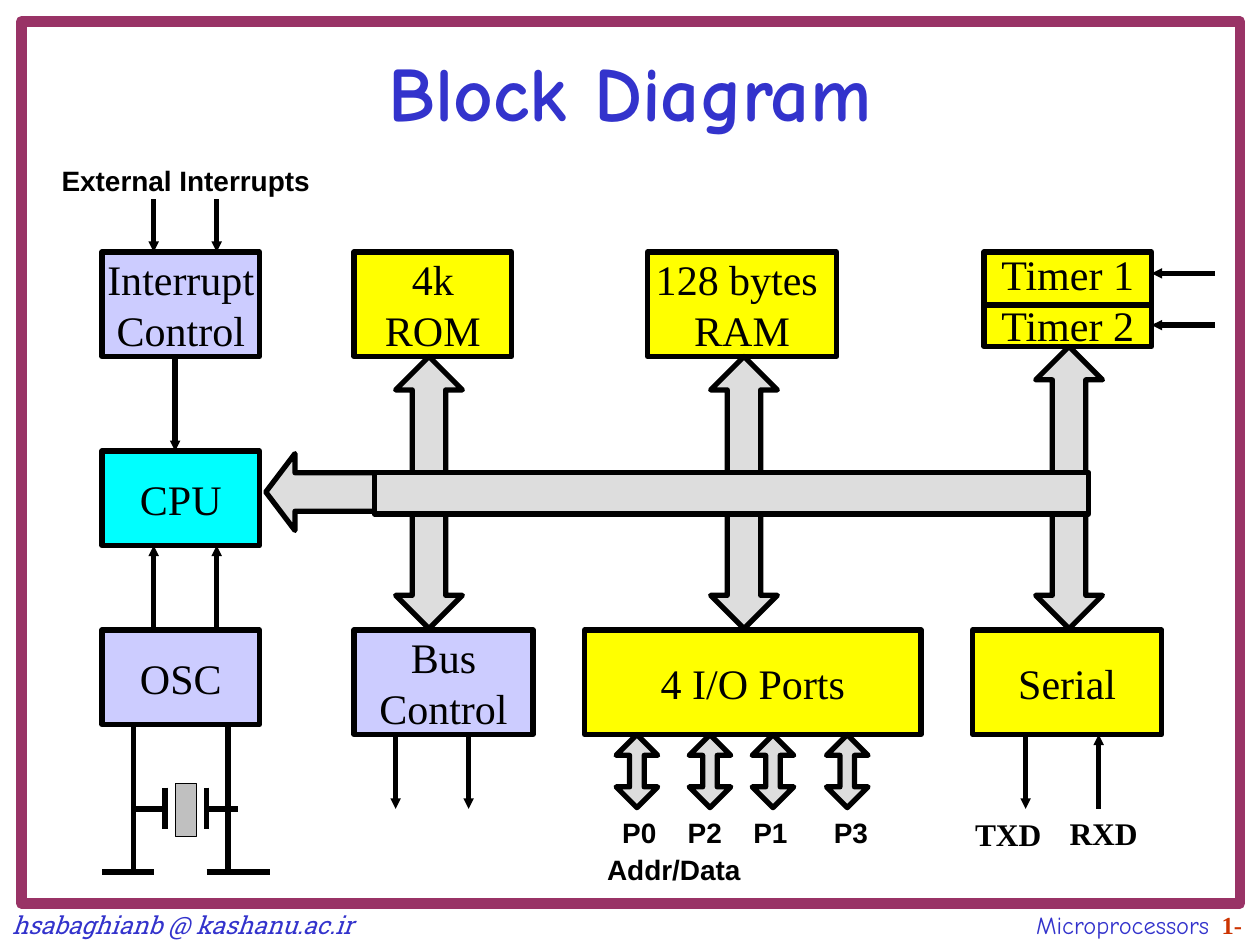
"""Build the microcontroller block diagram slide."""
from lxml.etree import SubElement
from pptx import Presentation
from pptx.dml.color import RGBColor
from pptx.enum.shapes import MSO_CONNECTOR, MSO_SHAPE as SHAPE
from pptx.enum.text import MSO_ANCHOR as ANCHOR, PP_ALIGN as ALIGN
from pptx.oxml.ns import qn
from pptx.util import Inches, Pt

BLACK = RGBColor(0x00, 0x00, 0x00)
BLUE = RGBColor(0x33, 0x33, 0xCC)
RED = RGBColor(0xCC, 0x33, 0x00)
PLUM = RGBColor(0x99, 0x33, 0x66)
CYAN = RGBColor(0x00, 0xFF, 0xFF)
LILAC = RGBColor(0xCC, 0xCC, 0xFF)
YELLOW = RGBColor(0xFF, 0xFF, 0x00)
SILVER = RGBColor(0xC0, 0xC0, 0xC0)
PALE = RGBColor(0xDD, 0xDD, 0xDD)
SERIF, SANS, COMIC, SLAB = "Times New Roman", "Arial", "Comic Neue", "Roboto Slab"


class Diagram:
    def __init__(self, s):
        self.s = s

    def style(self, font, name, size, color=BLACK, bold=False, italic=False):
        font.name, font.size, font.bold, font.italic = name, Pt(size), bold, italic
        font.color.rgb = color

    def title(self, text):
        sp = self.s.shapes.title
        sp.left, sp.top, sp.width, sp.height = map(Inches, (0.5, 0.3, 9, 1.25))
        tf = sp.text_frame
        tf.text, tf.vertical_anchor = text, ANCHOR.TOP
        p = tf.paragraphs[0]
        p.alignment = ALIGN.CENTER
        self.style(p.font, COMIC, 44, BLUE, bold=True)

    def shape(self, kind, x, y, w, h, fill=None, line=BLACK, weight=3, adj=()):
        sp = self.s.shapes.add_shape(kind, *map(Inches, (x, y, w, h)))
        sp.shadow.inherit = False
        if fill is None:
            sp.fill.background()
        else:
            sp.fill.solid()
            sp.fill.fore_color.rgb = fill
        sp.line.color.rgb, sp.line.width = line, Pt(weight)
        for i, value in enumerate(adj):
            sp.adjustments[i] = value
        return sp

    def block(self, text, x, y, w, h, fill):
        tf = self.shape(SHAPE.RECTANGLE, x, y, w, h, fill).text_frame
        tf.text, tf.word_wrap, tf.vertical_anchor = text, False, ANCHOR.MIDDLE
        for p in tf.paragraphs:
            p.alignment = ALIGN.CENTER
            self.style(p.font, SERIF, 24)

    def line(self, x1, y1, x2, y2, arrow=False):
        c = self.s.shapes.add_connector(
            MSO_CONNECTOR.STRAIGHT, *map(Inches, (x1, y1, x2, y2)))
        c.line.color.rgb, c.line.width = BLACK, Pt(3)
        if arrow:
            SubElement(c.line._get_or_add_ln(), qn("a:tailEnd"),
                       type="triangle", w="sm", len="sm")
        SubElement(c._element.spPr, qn("a:effectLst"))

    def text(self, x, y, w, h, text="", name=SANS, size=16, wrap=True, tabs=()):
        tf = self.s.shapes.add_textbox(*map(Inches, (x, y, w, h))).text_frame
        tf.word_wrap, tf.text = wrap, text
        p = tf.paragraphs[0]
        if tabs:
            tab_list = SubElement(p._p.get_or_add_pPr(), qn("a:tabLst"))
            for pos, align in tabs:
                SubElement(tab_list, qn("a:tab"), pos=str(Inches(pos)), algn=align)
        self.style(p.font, name, size, bold=True)
        return p

    def footer(self):
        p = self.text(0, 7.17, 10, 0.33, tabs=((9.5, "r"), (9.76, "r")))
        for text, name, color, bold, italic in (
                ("hsabaghianb @ kashanu.ac.ir\t", SLAB, BLUE, False, True),
                ("Microprocessors\t", COMIC, BLUE, False, False),
                ("1-", SERIF, RED, True, False)):
            r = p.add_run()
            r.text = text
            self.style(r.font, name, 14, color, bold, italic)


def main():
    prs = Presentation()
    prs.slide_width, prs.slide_height = Inches(10), Inches(7.5)
    d = Diagram(prs.slides.add_slide(prs.slide_layouts[5]))
    d.footer()
    d.shape(SHAPE.RECTANGLE, 0.17, 0.17, 9.67, 7, line=PLUM, weight=6)
    d.title("Block Diagram")

    for block in (
            ("CPU", 0.81, 3.58, 1.25, 0.75, CYAN),
            ("Interrupt\nControl", 0.81, 2, 1.25, 0.83, LILAC),
            ("OSC", 0.81, 5, 1.25, 0.75, LILAC),
            ("Bus\nControl", 2.81, 5, 1.42, 0.83, LILAC),
            ("4k\nROM", 2.81, 2, 1.25, 0.83, YELLOW),
            ("Timer 1\nTimer 2", 7.81, 2, 1.33, 0.75, YELLOW),
            ("Serial", 7.72, 5, 1.5, 0.83, YELLOW),
            ("128 bytes \nRAM", 5.14, 2, 1.5, 0.83, YELLOW),
            ("4 I/O Ports", 4.64, 5, 2.67, 0.83, YELLOW)):
        d.block(*block)

    d.line(7.81, 2.42, 9.14, 2.42)
    for y in (2.17, 2.58):
        d.line(9.64, y, 9.14, y, arrow=True)
    for x in (1.22, 1.72):
        d.line(x, 1.58, x, 2, arrow=True)
        d.line(x, 5, x, 4.33, arrow=True)
    d.line(1.39, 2.83, 1.39, 3.58, arrow=True)
    for x in (3.14, 3.72, 8.14):
        d.line(x, 5.83, x, 6.42, arrow=True)
    d.line(8.72, 6.42, 8.72, 5.83, arrow=True)

    for lead, plate, wire_end, ground in (
            (1.06, 1.31, 1.06, (0.81, 1.22)), (1.81, 1.64, 1.89, (1.64, 2.14))):
        d.line(lead, 5.75, lead, 6.92)
        d.line(plate, 6.42, wire_end, 6.42)
        d.line(plate, 6.25, plate, 6.58)
        d.line(ground[0], 6.92, ground[1], 6.92)
    d.shape(SHAPE.RECTANGLE, 1.39, 6.22, 0.17, 0.42, SILVER, weight=0.5)

    d.shape(SHAPE.LEFT_ARROW, 2.11, 3.6, 0.94, 0.61, PALE, adj=(0.5, 0.38))
    for x, top in ((3.14, 2.83), (5.64, 2.83), (8.22, 2.75)):
        d.shape(SHAPE.UP_ARROW, x, top, 0.53, 1.07, PALE, adj=(0.5, 0.5))
        d.shape(SHAPE.DOWN_ARROW, x, 3.92, 0.53, 1.07, PALE, adj=(0.5, 0.5))
    d.shape(SHAPE.RECTANGLE, 2.97, 3.75, 5.67, 0.33, PALE)
    for x in (4.89, 5.47, 5.97, 6.56):
        d.shape(SHAPE.UP_DOWN_ARROW, x, 5.83, 0.33, 0.58, PALE, adj=(0.5, 0.35))

    d.text(7.64, 6.42, 0.73, 0.4, "TXD", SERIF, 18, wrap=False)
    d.text(8.39, 6.41, 0.74, 0.4, "RXD", SERIF, 18, wrap=False)
    d.text(0.39, 1.25, 2.25, 0.37, "External Interrupts")
    d.text(4.84, 6.42, 2.3, 0.37, "P0\tP2\tP1\tP3",
           tabs=((0.52, "l"), (1.04, "l"), (1.68, "l")))
    d.text(4.72, 6.72, 1.42, 0.37, "Addr/Data")
    prs.save("out.pptx")


if __name__ == "__main__":
    main()
